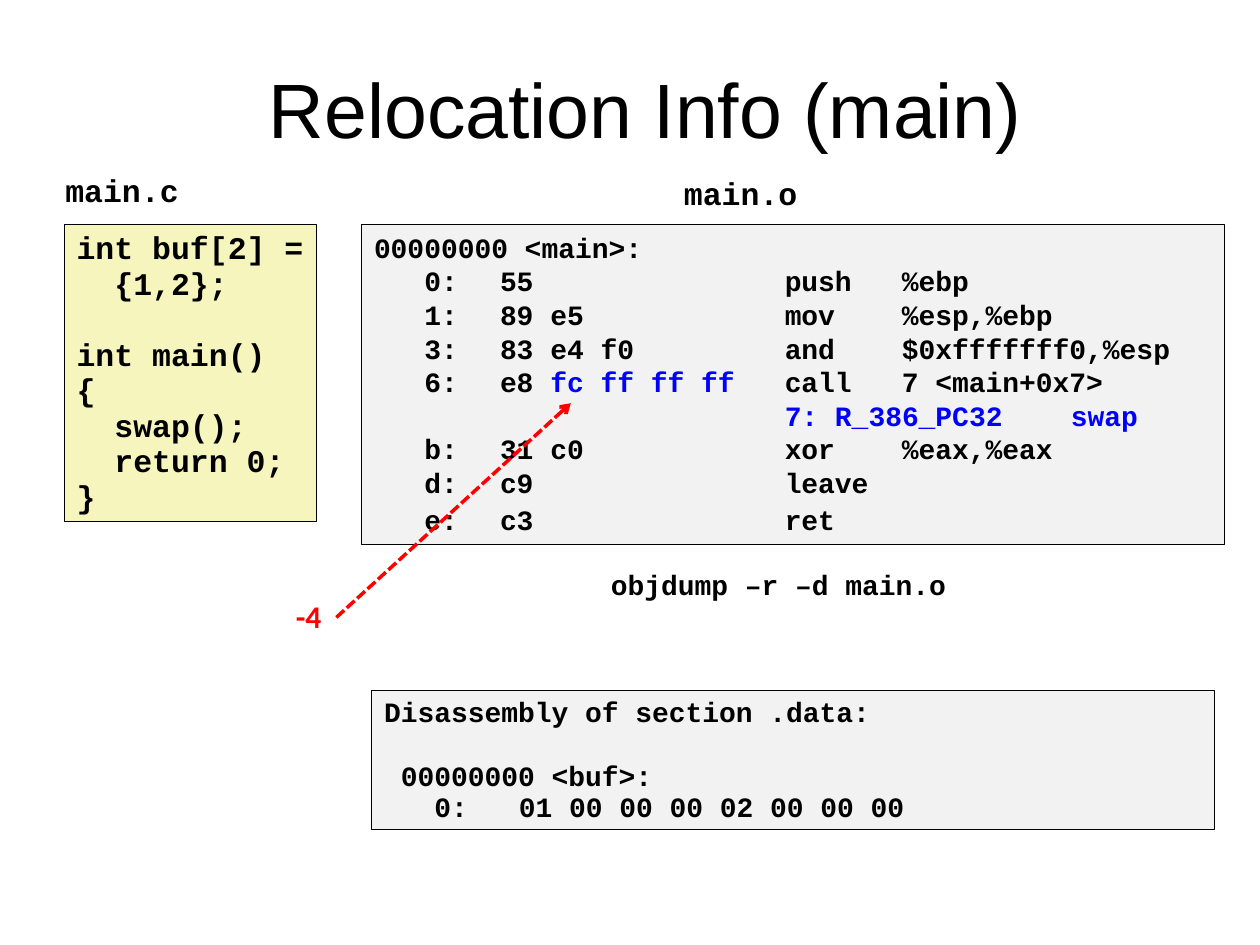
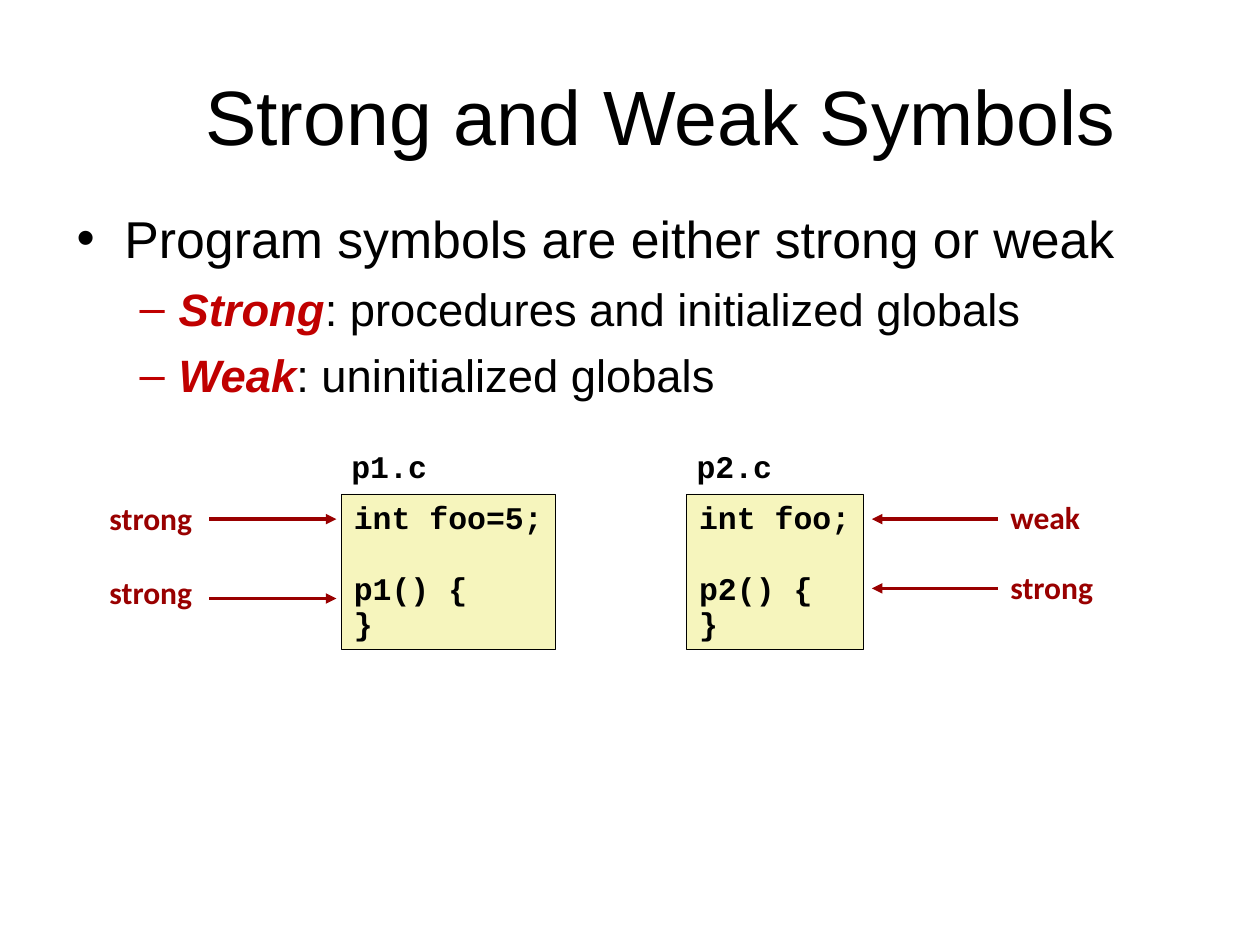
"""Build two slides on relocation information and on strong and weak symbols."""
from pptx import Presentation
from pptx.dml.color import RGBColor
from pptx.enum.dml import MSO_LINE
from pptx.enum.shapes import MSO_CONNECTOR, MSO_SHAPE
from pptx.enum.text import MSO_ANCHOR, MSO_AUTO_SIZE, PP_ALIGN
from pptx.oxml.ns import qn
from pptx.util import Inches, Pt
from lxml.etree import SubElement

BLACK = RGBColor(0x00, 0x00, 0x00)
BLUE = RGBColor(0x00, 0x00, 0xFF)
RED = RGBColor(0xFF, 0x00, 0x00)
DARK_RED = RGBColor(0x99, 0x00, 0x00)
TERM_RED = RGBColor(0xC0, 0x00, 0x00)
SOURCE_YELLOW = RGBColor(0xF6, 0xF5, 0xBD)
DUMP_GREY = RGBColor(0xF2, 0xF2, 0xF2)

CODE = {"name": "Courier New", "size": Pt(18), "bold": True, "color": BLACK}
DUMP = CODE | {"size": Pt(16)}
LABEL = CODE | {"name": "Calibri", "color": DARK_RED}
TITLE = {"name": "Arial", "size": Pt(44), "color": BLACK}


def add_text(page, place, lines, style, fill=None, spacing=None, tabs=()):
    """Add a text box or filled panel; None among the lines leaves a one-line gap."""
    place = [Inches(length) for length in place]
    if fill is None:
        box = page.shapes.add_textbox(*place)
    else:
        box = page.shapes.add_shape(MSO_SHAPE.RECTANGLE, *place)
        box.shadow.inherit = False
        box.fill.solid()
        box.fill.fore_color.rgb = fill
        box.line.color.rgb = BLACK
        box.line.width = Pt(0.25)
    frame = box.text_frame
    frame.word_wrap = False
    frame.vertical_anchor = MSO_ANCHOR.TOP
    gap = 0
    for number, line in enumerate(lines):
        if line is None:
            gap = spacing
            continue
        para = frame.add_paragraph() if number else frame.paragraphs[0]
        para.alignment = PP_ALIGN.LEFT
        if tabs:
            stops = SubElement(para._p.get_or_add_pPr(), qn("a:tabLst"))
            for stop in tabs:
                SubElement(stops, qn("a:tab"), pos=str(Inches(stop)), algn="l")
        if spacing:
            para.line_spacing = Pt(spacing)
        if gap:
            para.space_before = Pt(gap)
            gap = 0
        for text, changes in [(line, {})] if isinstance(line, str) else line:
            span = para.add_run()
            span.text = text
            for key, value in (style | changes).items():
                if key == "color":
                    span.font.color.rgb = value
                else:
                    setattr(span.font, key, value)
    return box


def add_arrow(page, start, end, color, head):
    """Add a two-point line with an arrowhead at its end."""
    arrow = page.shapes.add_connector(
        MSO_CONNECTOR.STRAIGHT, *[Inches(length) for length in start + end])
    arrow.line.color.rgb = color
    arrow.line.width = Pt(2)
    SubElement(arrow.line._get_or_add_ln(), qn("a:tailEnd"), type=head)
    SubElement(arrow._element.spPr, qn("a:effectLst"))
    return arrow


deck = Presentation()
deck.slide_width, deck.slide_height = Inches(10), Inches(7.5)

pages = []
for heading, left, top, spacing in [
    ("Relocation Info (main)", 0.36, 0.49, 0.82),
    ("Strong and Weak Symbols", 0.48, 0.48, 1.0),
]:
    page = deck.slides.add_slide(deck.slide_layouts[5])
    title = page.shapes.title
    title.left, title.top = Inches(left), Inches(top)
    title.width, title.height = Inches(9.53), Inches(0.86)
    title.text_frame.text = heading
    title.text_frame.auto_size = MSO_AUTO_SIZE.NONE
    title.text_frame.vertical_anchor = MSO_ANCHOR.MIDDLE
    para = title.text_frame.paragraphs[0]
    para.alignment = PP_ALIGN.CENTER
    para.line_spacing = spacing
    for key, value in TITLE.items():
        if key == "color":
            para.runs[0].font.color.rgb = value
        else:
            setattr(para.runs[0].font, key, value)
    pages.append(page)
relocation, symbols = pages

main_source = ["int buf[2] =", "  {1,2};", None, "int main()", "{",
               "  swap();", "  return 0;", "}"]
add_text(relocation, (0.51, 1.78, 2, 2.36), main_source, CODE, SOURCE_YELLOW, 20.3)

data_dump = ["Disassembly of section .data:", None, " 00000000 <buf>:",
             "   0:\t01 00 00 00 02 00 00 00"]
add_text(relocation, (2.95, 5.48, 6.69, 1.1), data_dump, DUMP, DUMP_GREY, 18.1, (1.07,))

main_dump = [
    "00000000 <main>:",
    "   0:\t55\tpush\t%ebp",
    "   1:\t89 e5\tmov\t%esp,%ebp",
    "   3:\t83 e4 f0\tand\t$0xfffffff0,%esp",
    [("   6:\te8 ", {}), ("fc ff ff ff", {"color": BLUE}), ("\tcall\t7 <main+0x7>", {})],
    [("\t\t7: R_386_PC32\tswap", {"color": BLUE})],
    "   b:\t31 c0\txor\t%eax,%eax",
    "   d:\tc9\tleave",
    "   e:\tc3\tret",
]
panel = add_text(relocation, (2.87, 1.78, 6.85, 2.54), main_dump, DUMP, DUMP_GREY, 19.2,
                 (1, 3.26, 4.19, 5.53))
panel.text_frame.paragraphs[-1].space_before = Pt(2)

for name, left, top in [("main.c", 0.42, 1.31), ("main.o", 5.33, 1.33)]:
    add_text(relocation, (left, top, 1.1, 0.4), [name], CODE, spacing=21.6)
add_text(relocation, (4.75, 4.46, 2.87, 0.36), ["objdump –r –d main.o"], DUMP, spacing=18.8)
add_text(relocation, (2.25, 4.69, 0.4, 0.4), ["-4"], LABEL | {"color": RED})
offset_arrow = add_arrow(relocation, (2.67, 4.9), (4.53, 3.2), RED, "arrow")
offset_arrow.line.dash_style = MSO_LINE.SQUARE_DOT

term = {"color": TERM_RED, "bold": True, "italic": True}
points = [
    [("Program symbols are either strong or weak", {"size": Pt(29.6)})],
    [("Strong", term), (": procedures and initialized globals", {})],
    [("Weak", term), (": uninitialized globals", {})],
]
body = add_text(symbols, (0.51, 1.59, 9.07, 1.77), points,
                TITLE | {"size": Pt(25.9)})
body.text_frame.word_wrap = True
for number, para in enumerate(body.text_frame.paragraphs):
    margin, hang, color, mark = (0.81, 0.31, TERM_RED, "–") if number else (0.38, 0.38, BLACK, "•")
    props = para._p.get_or_add_pPr()
    props.set("marL", str(Inches(margin)))
    props.set("indent", str(-Inches(hang)))
    SubElement(SubElement(props, qn("a:buClr")), qn("a:srgbClr"), val=str(color))
    SubElement(props, qn("a:buFont"), typeface="Arial")
    SubElement(props, qn("a:buChar"), char=mark)
    para.line_spacing = Pt(31.1 if number else 35.5)
    if number:
        para.level = 1
        para.space_before = Pt(7)

for name, declaration, left, width in [
    ("p1", "int foo=5;", 2.71, 1.7),
    ("p2", "int foo;", 5.45, 1.4),
]:
    source = [declaration, None, f"{name}() {{", "}"]
    add_text(symbols, (left, 3.92, width, 1.23), source, CODE, SOURCE_YELLOW, 20.3)
    add_text(symbols, (left - 0.02, 3.52, 0.8, 0.38), [f"{name}.c"], CODE, spacing=20.3)

for strength, left, top, start, end, level in [
    ("strong", 0.77, 3.91, 1.66, 2.67, 4.12),
    ("strong", 0.77, 4.5, 1.66, 2.67, 4.75),
    ("weak", 7.92, 3.9, 7.92, 6.92, 4.12),
    ("strong", 7.92, 4.46, 7.92, 6.92, 4.67),
]:
    add_text(symbols, (left, top, 0.88, 0.4), [strength], LABEL)
    add_arrow(symbols, (start, level), (end, level), DARK_RED, "triangle")

deck.save("out.pptx")
